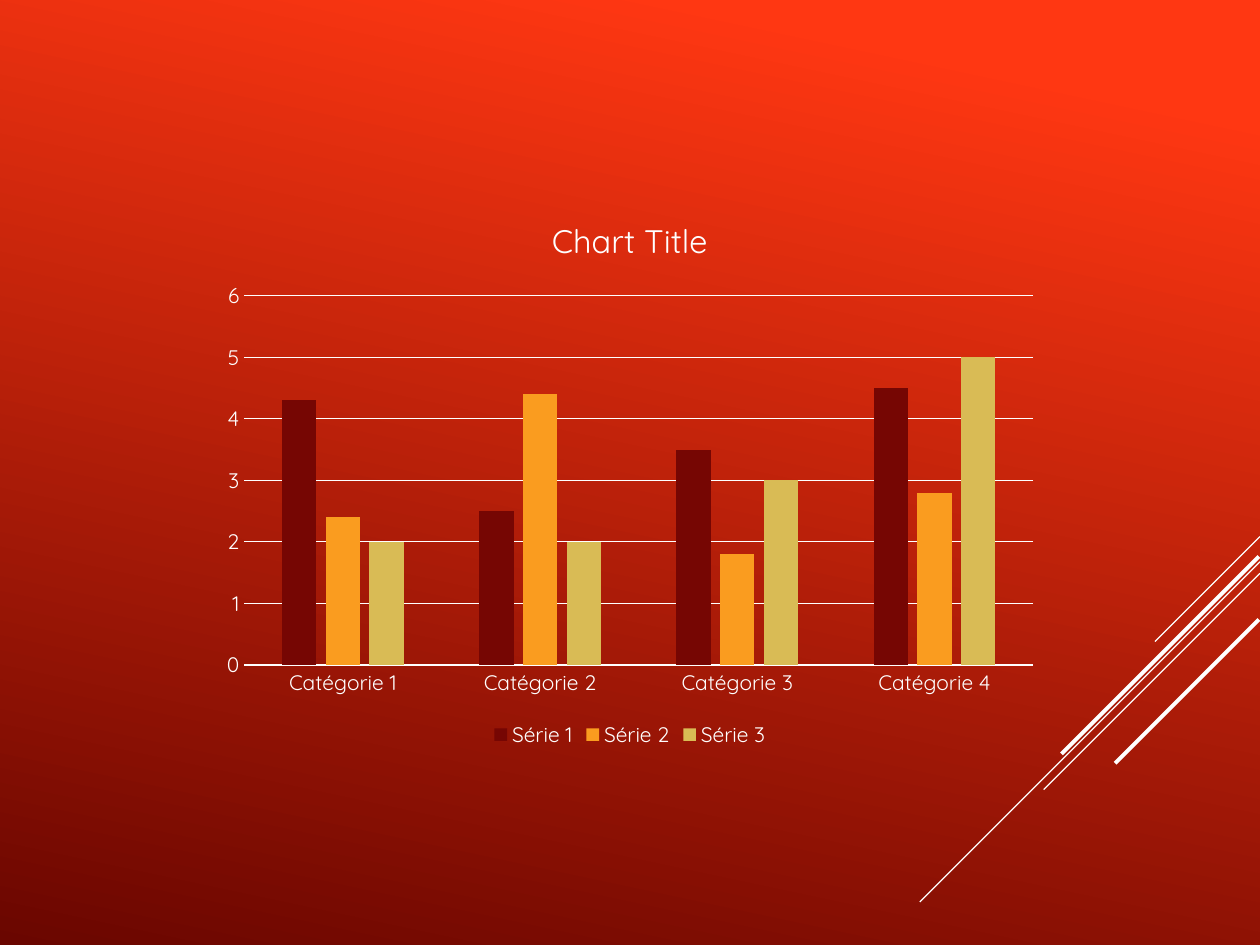
from lxml.etree import SubElement
from pptx import Presentation
from pptx.chart.data import CategoryChartData as ChartData
from pptx.dml.color import RGBColor
from pptx.enum.chart import XL_CHART_TYPE as ChartType
from pptx.enum.chart import XL_LEGEND_POSITION as LegendPosition
from pptx.enum.chart import XL_TICK_MARK as TickMark
from pptx.enum.shapes import MSO_CONNECTOR as Connector
from pptx.oxml.ns import qn
from pptx.util import Inches, Pt

COLUMNS = 12  # square grid cells, 12 across and 9 down
WHITE = "FFFFFF"


def color(value):
    return RGBColor.from_string(value)


def set_values(target, values):
    for name, value in values.items():
        setattr(target, name, value)


class SlideBuilder:
    font_name = "Quicksand"

    def __init__(self, presentation):
        self.slide = presentation.slides.add_slide(presentation.slide_layouts[6])
        self.cell = presentation.slide_width / COLUMNS

    def grid(self, *cells):
        return [round(cell * self.cell) for cell in cells]

    def style_font(self, font, size):
        set_values(font, {"name": self.font_name, "size": Pt(size), "bold": False})
        font.color.rgb = color(WHITE)

    def style_line(self, line, width):
        line.color.rgb = color(WHITE)
        line.width = Pt(width)

    def background(self, stops, clockwise_angle):
        fill = self.slide.background.fill
        fill.gradient()
        fill.gradient_angle = 360 - clockwise_angle
        for stop, (position, value) in zip(fill.gradient_stops, stops):
            stop.position = position
            stop.color.rgb = color(value)

    def diagonal(self, column, row, span, width):
        """Draw a 45 degree line down and to the left."""
        ends = self.grid(column, row, column - span, row + span)
        line = self.slide.shapes.add_connector(Connector.STRAIGHT, *ends)
        self.style_line(line.line, width)
        SubElement(line._element.spPr, qn("a:effectLst"))

    def column_chart(self, box, title, categories, series):
        data = ChartData()
        data.categories = categories
        for name, _, values in series:
            data.add_series(name, values)
        chart = self.slide.shapes.add_chart(
            ChartType.COLUMN_CLUSTERED, *self.grid(*box), data).chart
        self.style_font(chart.font, 10)

        # Title and legend
        chart.has_title = True
        text_frame = chart.chart_title.text_frame
        text_frame.text = title
        self.style_font(text_frame.paragraphs[0].runs[0].font, 18.6)
        chart.has_legend = True
        set_values(chart.legend, {"position": LegendPosition.BOTTOM,
                                  "include_in_layout": False})
        self.style_font(chart.legend.font, 12)

        # Axes
        for axis in (chart.category_axis, chart.value_axis):
            set_values(axis, {"major_tick_mark": TickMark.NONE,
                              "minor_tick_mark": TickMark.NONE})
            self.style_font(axis.tick_labels.font, 12)
        self.style_line(chart.category_axis.format.line, 0.75)
        set_values(chart.value_axis, {"minimum_scale": 0, "maximum_scale": 6,
                                      "major_unit": 1})
        chart.value_axis.format.line.fill.background()
        self.style_line(chart.value_axis.major_gridlines.format.line, 0.75)

        # Columns
        plot = chart.plots[0]
        set_values(plot, {"gap_width": 219, "overlap": -27,
                          "vary_by_categories": False})
        for bars, (_, value, _) in zip(plot.series, series):
            bars.format.fill.solid()
            bars.format.fill.fore_color.rgb = color(value)


presentation = Presentation()
set_values(presentation, {"slide_width": Inches(10), "slide_height": Inches(7.5)})
builder = SlideBuilder(presentation)

# Background
builder.background([(0.1, "FF3712"), (1, "6A0600")], 102)

# Diagonal lines: column, row, span, width
for diagonal in [(12, 5.11, 1, 0.75), (12, 5.35, 3.24, 0.75),
                 (12, 5.46, 2.06, 0.75), (11.99, 5.3, 1.88, 2.25),
                 (11.99, 5.9, 1.37, 2.25)]:
    builder.diagonal(*diagonal)

# Chart
builder.column_chart(
    (2, 1.84, 8, 5.33), "Chart Title",
    [f"Catégorie {number}" for number in range(1, 5)],
    [("Série 1", "760603", (4.3, 2.5, 3.5, 4.5)),
     ("Série 2", "FA9C1F", (2.4, 4.4, 1.8, 2.8)),
     ("Série 3", "D9BB55", (2, 2, 3, 5))])

presentation.save("out.pptx")
